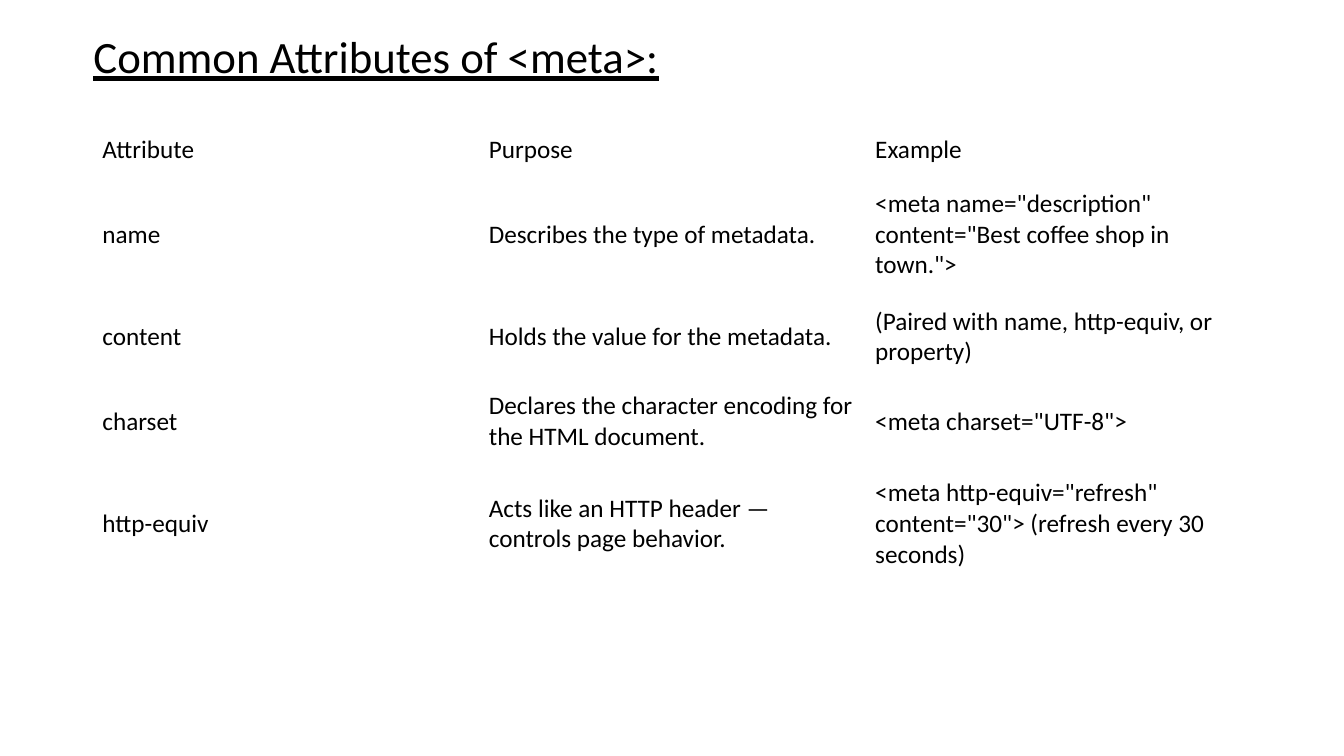
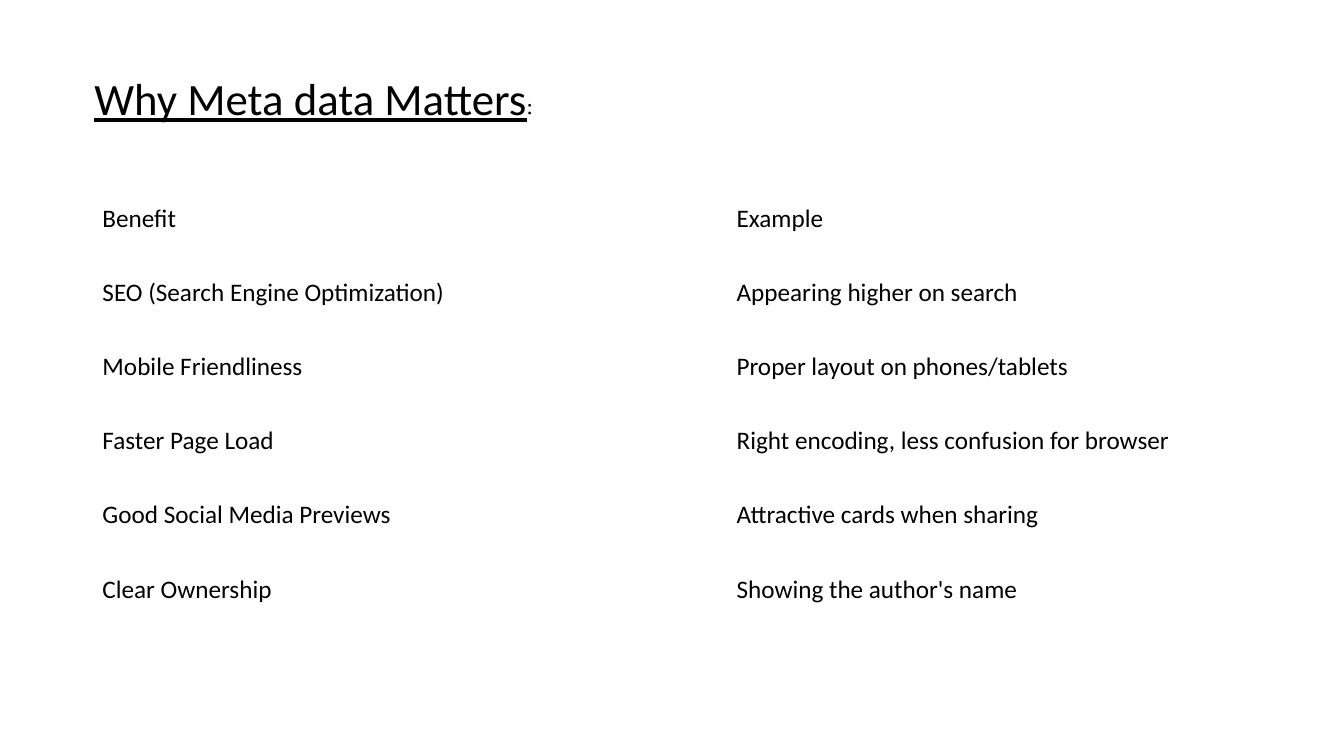
from pptx import Presentation
from pptx import util as u
from pptx.dml import color
from pptx.enum import text

COLOURS = {"ink": "000000", "paper": "FFFFFF"}
HEADING = {"name": "Calibri", "size": u.Pt(32), "underline": True}
HEADING_COLON = {"name": "Karla", "size": u.Pt(18), "underline": False}
CELL = {"name": "Calibri", "size": u.Pt(18), "bold": False}
PLAIN_TABLE = {"first_row": False, "horz_banding": False}
TABLE_LEFT = 66

ATTRIBUTES = [
    ("Attribute", "Purpose", "Example"),
    ("name", "Describes the type of metadata.",
     '<meta name="description" content="Best coffee shop in town.">'),
    ("content", "Holds the value for the metadata.",
     "(Paired with name, http-equiv, or property)"),
    ("charset", "Declares the character encoding for the HTML document.",
     '<meta charset="UTF-8">'),
    ("http-equiv", "Acts like an HTTP header — controls page behavior.",
     '<meta http-equiv="refresh" content="30"> (refresh every 30 seconds)'),
]

BENEFITS = [
    ("Benefit", "Example"),
    ("SEO (Search Engine Optimization)", "Appearing higher on search"),
    ("Mobile Friendliness", "Proper layout on phones/tablets"),
    ("Faster Page Load", "Right encoding, less confusion for browser"),
    ("Good Social Media Previews", "Attractive cards when sharing"),
    ("Clear Ownership", "Showing the author's name"),
]


def apply(target, values):
    for key, value in values.items():
        setattr(target, key, value)


class Deck:
    def __init__(self):
        self.presentation = Presentation()
        apply(self.presentation, {"slide_width": u.Pt(960), "slide_height": u.Pt(540)})
        self.slide = None

    def new_slide(self):
        self.slide = self.presentation.slides.add_slide(self.presentation.slide_layouts[6])
        fill = self.slide.background.fill
        fill.solid()
        fill.fore_color.rgb = color.RGBColor.from_string(COLOURS["paper"])

    def add_words(self, paragraph, words, style):
        run = paragraph.add_run()
        run.text = words
        apply(run.font, style)
        run.font.color.rgb = color.RGBColor.from_string(COLOURS["ink"])

    def heading(self, left, top, width, *parts):
        box = self.slide.shapes.add_textbox(u.Pt(left), u.Pt(top), u.Pt(width), u.Pt(46))
        frame = box.text_frame
        apply(frame, {"word_wrap": True, "auto_size": text.MSO_AUTO_SIZE.SHAPE_TO_FIT_TEXT})
        for words, style in parts:
            self.add_words(frame.paragraphs[0], words, style)

    def table(self, top, widths, heights, rows):
        grid = self.slide.shapes.add_table(
            len(rows), len(widths), u.Pt(TABLE_LEFT), u.Pt(top),
            u.Pt(sum(widths)), u.Pt(sum(heights))).table
        apply(grid, PLAIN_TABLE)
        for column, width in zip(grid.columns, widths):
            column.width = u.Pt(width)
        for row, height, entries in zip(grid.rows, heights, rows):
            row.height = u.Pt(height)
            for cell, words in zip(row.cells, entries):
                cell.fill.background()
                cell.vertical_anchor = text.MSO_ANCHOR.MIDDLE
                self.add_words(cell.text_frame.paragraphs[0], words, CELL)


def main():
    deck = Deck()

    deck.new_slide()
    deck.table(90, [276] * 3, [34.8, 85.6, 60.5, 60.5, 85.6], ATTRIBUTES)
    deck.heading(59.6, 17.3, 461.5, ("Common Attributes of <meta>:", HEADING))

    deck.new_slide()
    deck.table(129.6, [453, 375], [53] * len(BENEFITS), BENEFITS)
    deck.heading(60.3, 46.8, 337, ("Why Meta data Matters", HEADING), (":", HEADING_COLON))

    deck.presentation.save("out.pptx")


if __name__ == "__main__":
    main()
